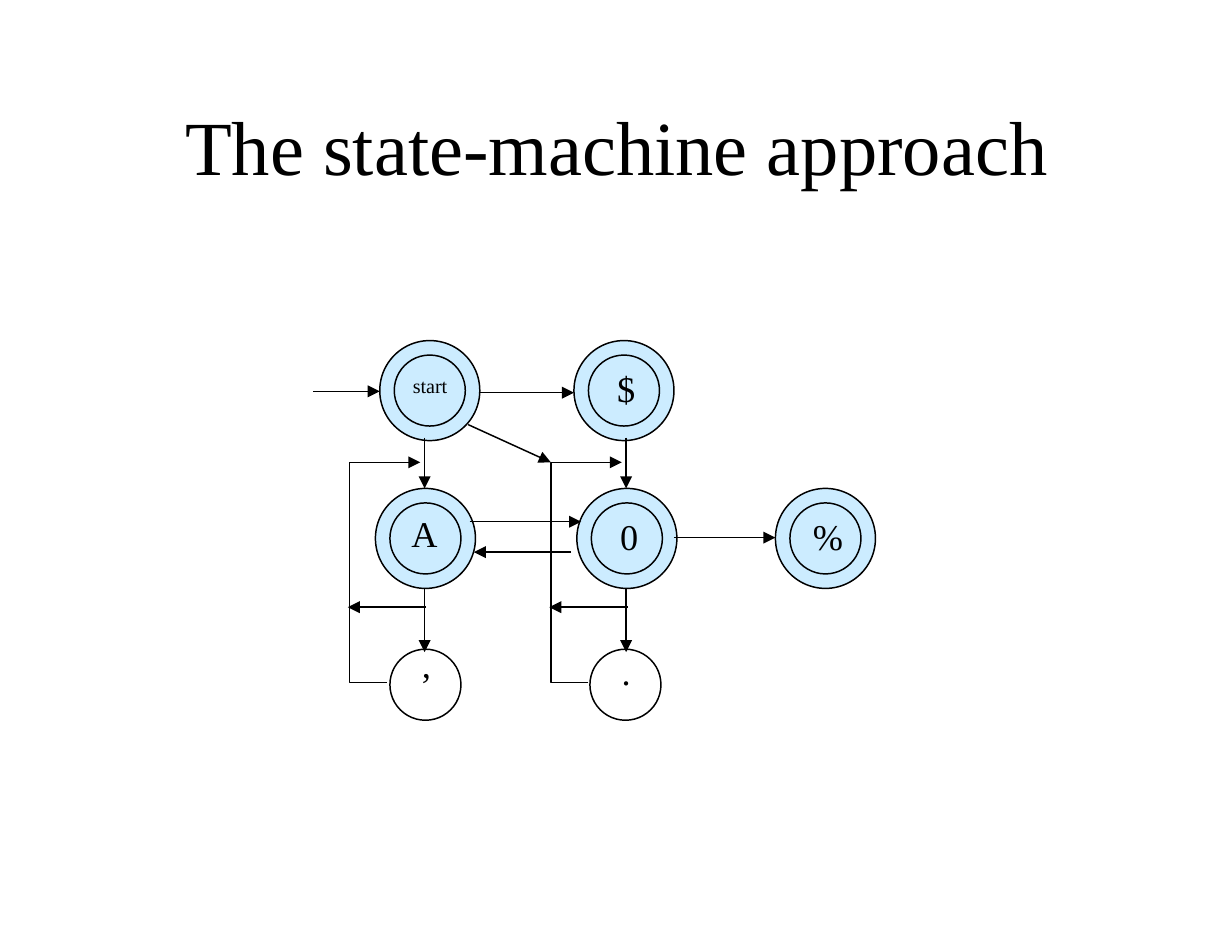
import pptx
import pptx.dml.color
import pptx.enum.shapes
import pptx.enum.text
import pptx.oxml.ns
import pptx.util
from dataclasses import dataclass
from typing import Any, NamedTuple

Inches = pptx.util.Inches
OVAL = pptx.enum.shapes.MSO_SHAPE.OVAL
ALIGN = pptx.enum.text.PP_ALIGN


@dataclass(frozen=True)
class Theme:
    font: str = "Times New Roman"
    ink: str = "000000"
    pale: str = "CCECFF"
    title: float = 38
    sign: float = 18
    small: float = 10
    stroke: float = 0.75
    outer: float = 0.69
    inner: float = 0.49


class Disc(NamedTuple):
    left: float
    top: float
    ring: bool = True


class Label(NamedTuple):
    text: str
    left: float
    top: float
    width: float
    height: float
    size: float
    align: Any = ALIGN.LEFT
    inset: tuple[float, float] = (0.1, 0.05)


class Arrow(NamedTuple):
    x1: float
    y1: float
    x2: float
    y2: float


THEME = Theme()
TOP, MID, LOW = 2.35, 3.37, 4.48  # rows of states
LEFT, RIGHT = 2.93, 4.32          # axes of the two columns

DISCS = [
    Disc(2.62, TOP), Disc(3.96, TOP),
    Disc(2.59, MID), Disc(3.98, MID), Disc(5.35, MID),
    Disc(2.69, LOW, False), Disc(4.07, LOW, False),
]

LABELS = [
    Label("The state-machine approach", 0.64, 0.58, 7.23, 1.08,
          THEME.title, ALIGN.CENTER, (0.09, 0.1)),
    Label("start", 2.75, 2.53, 0.57, 0.44, THEME.small),
    Label("$", 4.16, 2.48, 0.57, 0.46, THEME.sign),
    Label("A", 2.74, 3.48, 0.49, 0.46, THEME.sign),
    Label("0", 4.18, 3.5, 0.57, 0.47, THEME.sign),
    Label("%", 5.51, 3.5, 0.57, 0.44, THEME.sign),
    Label("’", 2.8, 4.52, 0.57, 0.39, THEME.sign),
    Label(".", 4.19, 4.43, 0.59, 0.49, THEME.sign),
]

# Moves between states that do not repeat per column
ARROWS = [
    Arrow(2.16, 2.7, 2.62, 2.7),
    Arrow(3.31, 2.71, 3.96, 2.71),
    Arrow(3.23, 2.93, 3.8, 3.19),
    Arrow(3.24, 3.6, 4.01, 3.6),
    Arrow(3.94, 3.81, 3.27, 3.81),
    Arrow(4.65, 3.71, 5.35, 3.71),
]


def tint(code: str) -> pptx.dml.color.RGBColor:
    return pptx.dml.color.RGBColor.from_string(code)


def ink(shape: Any) -> None:
    shape.line.color.rgb = tint(THEME.ink)
    shape.line.width = pptx.util.Pt(THEME.stroke)


def point(shape: Any) -> None:
    """Ink a line, give its end a triangle and drop its shadow."""
    ink(shape)
    qn = pptx.oxml.ns.qn
    props = shape.element.spPr
    edge = props.find(qn("a:ln"))
    edge.append(edge.makeelement(qn("a:tailEnd"), {"type": "triangle"}))
    props.append(props.makeelement(qn("a:effectLst"), {}))


def draw_disc(shapes: Any, disc: Disc) -> None:
    home = shapes.add_group_shape().shapes if disc.ring else shapes
    gap = (THEME.outer - THEME.inner) / 2
    rings = [(0, THEME.outer), (gap, THEME.inner)] if disc.ring else [(0, THEME.inner)]
    for shift, size in rings:
        oval = home.add_shape(OVAL, Inches(disc.left + shift), Inches(disc.top + shift),
                              Inches(size), Inches(size))
        oval.shadow.inherit = False
        ink(oval)
        if disc.ring:
            oval.fill.solid()
            oval.fill.fore_color.rgb = tint(THEME.pale)
        else:
            oval.fill.background()


def draw_arrow(shapes: Any, arrow: Arrow) -> None:
    kind = pptx.enum.shapes.MSO_CONNECTOR.STRAIGHT
    point(shapes.add_connector(kind, *map(Inches, arrow)))


def draw_loop(shapes: Any, axis: float) -> None:
    """Route from the lowest state back to the entry of the middle one."""
    edge = axis - 0.52
    first, *rest = [(Inches(x), Inches(y)) for x, y in (
        (axis - 0.26, 4.71), (edge, 4.71), (edge, 3.19), (axis - 0.03, 3.19))]
    path = shapes.build_freeform(*first)
    path.add_line_segments(rest, close=False)
    loop = path.convert_to_shape()
    loop.fill.background()
    point(loop)


def draw_label(shapes: Any, label: Label) -> None:
    box = shapes.add_textbox(*map(Inches, label[1:5]))
    side, rise = map(Inches, label.inset)
    frame = box.text_frame
    style = {"word_wrap": True, "margin_left": side, "margin_right": side,
             "margin_top": rise, "margin_bottom": rise,
             "vertical_anchor": pptx.enum.text.MSO_ANCHOR.TOP}
    for name, value in style.items():
        setattr(frame, name, value)
    para = frame.paragraphs[0]
    para.alignment = label.align
    run = para.add_run()
    run.text = label.text
    look = {"name": THEME.font, "size": pptx.util.Pt(label.size)}
    for name, value in look.items():
        setattr(run.font, name, value)
    run.font.color.rgb = tint(THEME.ink)


def main() -> None:
    deck = pptx.Presentation()
    deck.slide_width, deck.slide_height = Inches(8.5), Inches(6.5)
    shapes = deck.slides.add_slide(deck.slide_layouts[6]).shapes

    # States
    for disc in DISCS:
        draw_disc(shapes, disc)

    # Moves down each column, and the ways back
    for axis in (LEFT, RIGHT):
        draw_arrow(shapes, Arrow(axis, 3.02, axis, 3.37))
        draw_arrow(shapes, Arrow(axis, 4.06, axis, 4.5))
        draw_loop(shapes, axis)
        draw_arrow(shapes, Arrow(axis + 0.01, 4.19, axis - 0.53, 4.19))

    # Moves across
    for arrow in ARROWS:
        draw_arrow(shapes, arrow)

    # Title and state names
    for label in LABELS:
        draw_label(shapes, label)

    deck.save("out.pptx")


if __name__ == "__main__":
    main()
